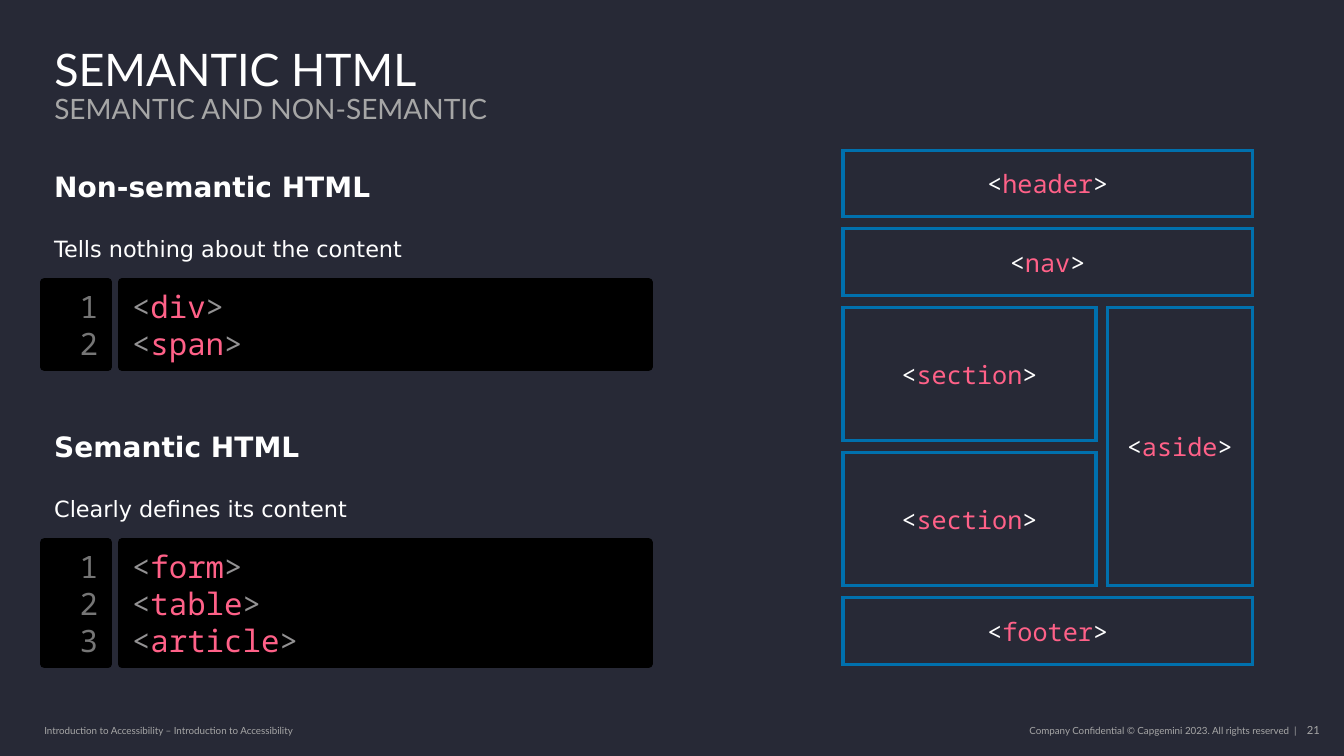
from lxml import etree
from pptx import Presentation
from pptx import util as u
from pptx.dml.color import RGBColor
from pptx.enum import shapes, text
from pptx.oxml.ns import qn

WIDTH, HEIGHT = 13.33, 7.5
SANS, BODY, MONO = "Lato", "DejaVu Sans", "Noto Sans Mono"
WHITE, GREY, BLACK, BLUE, PINK = "FFFFFF", "A6A6A6", "000000", "0070AD", "FF6188"
LEFT, RIGHT = text.PP_ALIGN.LEFT, text.PP_ALIGN.RIGHT
CENTER = text.PP_ALIGN.CENTER
TOP, MIDDLE = text.MSO_ANCHOR.TOP, text.MSO_ANCHOR.MIDDLE


def color(hexa):
    return RGBColor.from_string(hexa)


def place(x, y, w, h):
    """Turn percentages of the slide into lengths."""
    return [u.Inches(share * full / 100)
            for share, full in ((x, WIDTH), (y, HEIGHT), (w, WIDTH), (h, HEIGHT))]


def add_run(par, words, size, font, hexa, bold=False):
    run = par.add_run()
    run.text = words
    run.font.size = u.Pt(size)
    run.font.name = font
    run.font.bold = bold
    run.font.color.rgb = color(hexa)


def add_tag(par, name, size, bracket):
    for words, hexa in (("<", bracket), (name, PINK), (">", bracket)):
        add_run(par, words, size, MONO, hexa)


def next_par(frame, first, align=LEFT):
    par = frame.paragraphs[0] if first else frame.add_paragraph()
    par.alignment = align
    return par


def add_text(slide, area, lines, align=LEFT, anchor=TOP, inset=None, spacing=None, gap=0):
    """Each line is (words, size, font, colour, bold)."""
    frame = slide.shapes.add_textbox(*place(*area)).text_frame
    frame.word_wrap = True
    frame.vertical_anchor = anchor
    if inset is not None:
        frame.margin_left = frame.margin_right = 0
        frame.margin_top = frame.margin_bottom = u.Inches(inset)
    for i, line in enumerate(lines):
        par = next_par(frame, i == 0, align)
        par.line_spacing = spacing
        if i and gap:
            par.space_before = u.Pt(gap)
        add_run(par, *line)


def add_box(slide, area, fill, line, width, join):
    box = slide.shapes.add_shape(shapes.MSO_SHAPE.RECTANGLE, *place(*area))
    box.shadow.inherit = False
    if fill:
        box.fill.solid()
        box.fill.fore_color.rgb = color(fill)
    else:
        box.fill.background()
    box.line.color.rgb = color(line)
    box.line.width = u.Pt(width)
    etree.SubElement(box.line._get_or_add_ln(), qn("a:" + join))
    box.text_frame.word_wrap = True
    box.text_frame.vertical_anchor = MIDDLE
    return box.text_frame


def add_code(slide, top, names):
    """Line numbers in a narrow panel, tags in a wide one."""
    height = 1.33 + 4.93 * len(names)
    count = add_box(slide, (3.3, top, 4.73, height), BLACK, BLACK, 6, "round")
    code = add_box(slide, (9.08, top, 39.16, height), BLACK, BLACK, 6, "round")
    for i, name in enumerate(names):
        add_run(next_par(count, i == 0, RIGHT), str(i + 1), 22, MONO, "767676")
        add_tag(next_par(code, i == 0), name, 22, "939293")


def add_topic(slide, top, title, note, names):
    lines = [(title, 20, BODY, WHITE, True), (note, 16, BODY, WHITE)]
    add_text(slide, (3.3, top - 15.6, 45, 13.3), lines, gap=23.3)
    add_code(slide, top, names)


def add_layout(slide):
    """Page layout on two columns and seven row units, with equal gaps."""
    left, wide, slim, gutter = 62.72, 18.83, 10.8, 0.83
    top, unit, gap = 19.87, 8.8, 1.6
    full = wide + gutter + slim
    side = left + wide + gutter
    # name, left, width, row units above, gaps above, row units, gaps inside
    parts = [
        ("header", left, full, 0, 0, 1, 0),
        ("nav", left, full, 1, 1, 1, 0),
        ("section", left, wide, 2, 2, 2, 0),
        ("section", left, wide, 4, 3, 2, 0),
        ("aside", side, slim, 2, 2, 4, 1),
        ("footer", left, full, 6, 4, 1, 0),
    ]
    for name, x, width, above, skips, rows, inner in parts:
        area = (x, top + above * unit + skips * gap, width, rows * unit + inner * gap)
        frame = add_box(slide, area, None, BLUE, 2.25, "miter")
        add_tag(next_par(frame, True, CENTER), name, 18, WHITE)


def add_footer(slide):
    row, height = 95.07, 3.2
    add_text(slide, (3.3, row, 27.98, height),
             [("Introduction to Accessibility – Introduction to Accessibility", 7, SANS, GREY)],
             anchor=MIDDLE, inset=0)
    add_text(slide, (59.26, row, 37.21, height),
             [("Company Confidential © Capgemini 2023. All rights reserved  |", 7, SANS, GREY)],
             RIGHT, MIDDLE, 0)
    add_text(slide, (96.32, row, 1.88, height), [("21", 8, SANS, GREY)], RIGHT, inset=0.05)


def main():
    deck = Presentation()
    deck.slide_width, deck.slide_height = u.Inches(WIDTH), u.Inches(HEIGHT)
    slide = deck.slides.add_slide(deck.slide_layouts[6])
    slide.background.fill.solid()
    slide.background.fill.fore_color.rgb = color("272936")

    add_text(slide, (3.3, 5.6, 89.8, 10.4),
             [("SEMANTIC HTML", 32, SANS, WHITE),
              ("SEMANTIC AND NON-SEMANTIC", 20, SANS, GREY)], spacing=0.9)
    add_topic(slide, 37.33, "Non-semantic HTML", "Tells nothing about the content",
              ["div", "span"])
    add_topic(slide, 71.73, "Semantic HTML", "Clearly defines its content",
              ["form", "table", "article"])
    add_layout(slide)
    add_footer(slide)
    deck.save("out.pptx")


if __name__ == "__main__":
    main()
